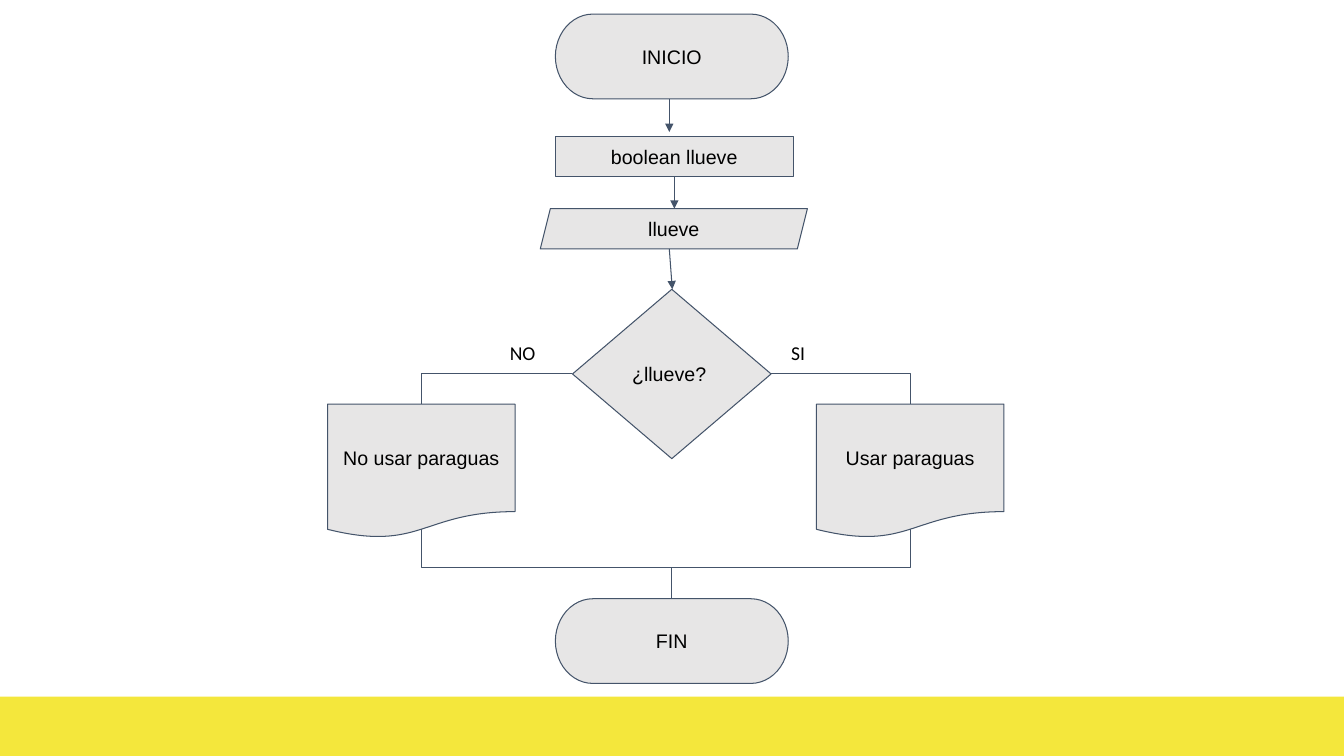
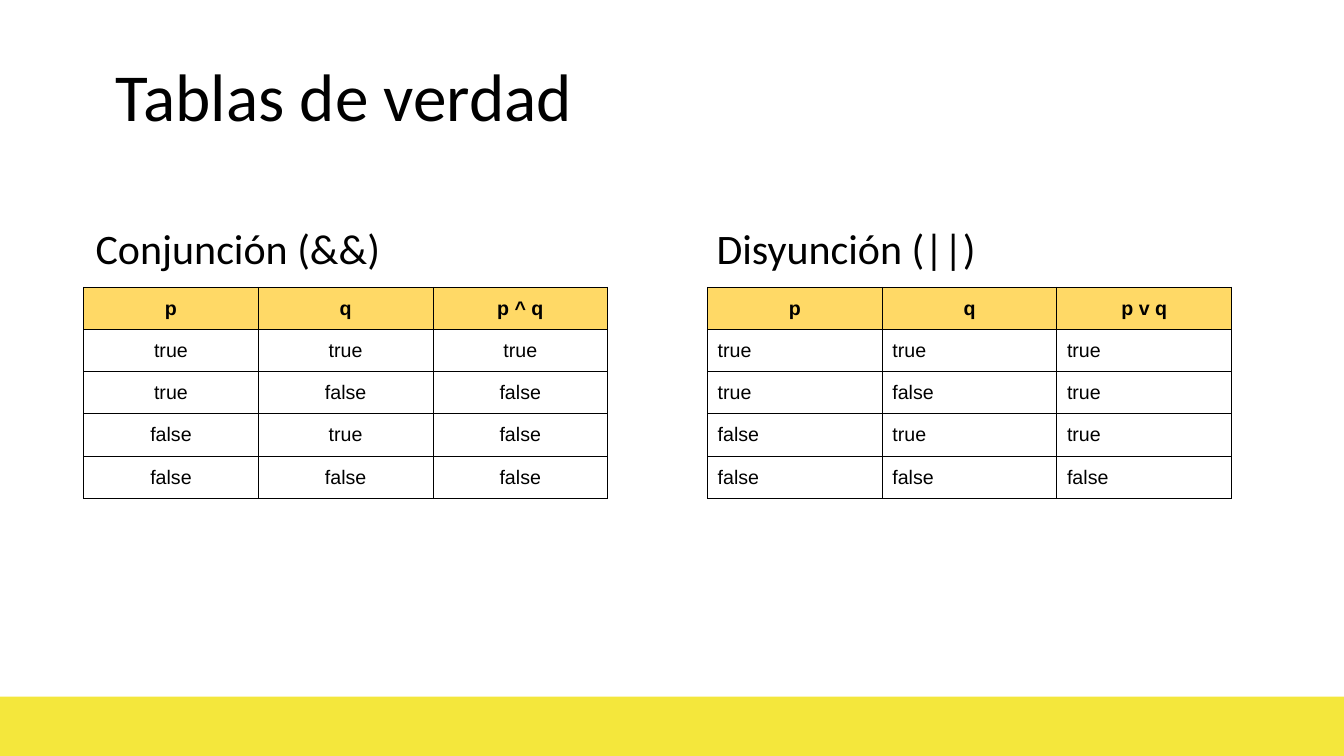
from dataclasses import dataclass
from itertools import product

from lxml.etree import SubElement
from pptx import Presentation
from pptx.dml.color import RGBColor
from pptx.enum.shapes import MSO_CONNECTOR as Link, MSO_SHAPE as Form
from pptx.enum.text import MSO_ANCHOR as Anchor, MSO_AUTO_SIZE as AutoSize, PP_ALIGN as Align
from pptx.oxml.ns import qn
from pptx.util import Emu, Inches, Pt

TOP, LEFT, BOTTOM, RIGHT = range(4)
BLANK, TITLE_ONLY = 6, 5


@dataclass(frozen=True)
class Theme:
    """Colours, fonts, type sizes and the grid of the deck."""
    band: str = "F4E73C"
    node: str = "E7E6E6"
    outline: str = "44546A"
    header: str = "FFD966"
    ink: str = "000000"
    diagram_font: str = "Arial"
    text_font: str = "Calibri"
    title_size: int = 48
    heading_size: int = 30
    body_size: int = 14
    stroke: float = 0.75
    columns: float = 133.33
    rows: float = 75
    cell: float = 0.1


class Deck:
    """Draws styled elements on the current slide, in grid columns and rows."""

    def __init__(self, theme):
        self.theme = theme
        self.prs = Presentation()
        self.prs.slide_width = self.span(theme.columns)
        self.prs.slide_height = self.span(theme.rows)
        self.slide = None

    def span(self, cells):
        """Turn a count of grid cells into a length."""
        return Inches(cells * self.theme.cell)

    def box(self, *cells):
        """Turn grid positions into lengths."""
        return [self.span(count) for count in cells]

    def new_slide(self, layout):
        """Start a slide with the shared band at its foot."""
        self.slide = self.prs.slides.add_slide(self.prs.slide_layouts[layout])
        band_top = 69.1
        band = self.slide.shapes.add_shape(Form.RECTANGLE, *self.box(
            0, band_top, self.theme.columns, self.theme.rows - band_top))
        band.shadow.inherit = False
        self.paint(band, self.theme.band)
        band.line.fill.background()

    def paint(self, target, colour):
        """Fill a shape or table cell with one colour."""
        target.fill.solid()
        target.fill.fore_color.rgb = RGBColor.from_string(colour)

    def stroke(self, line):
        """Apply the diagram's outline."""
        line.color.rgb = RGBColor.from_string(self.theme.outline)
        line.width = Pt(self.theme.stroke)

    def set_text(self, frame, words, font, size, align=Align.LEFT, bold=False):
        """Set one formatted paragraph."""
        frame.text = words
        paragraph = frame.paragraphs[0]
        paragraph.alignment = align
        paragraph.font.name = font
        paragraph.font.size = Pt(size)
        paragraph.font.bold = bold
        paragraph.font.color.rgb = RGBColor.from_string(self.theme.ink)
        return paragraph

    def inset(self, frame, side, end):
        """Set wrapping and margins of a text frame."""
        frame.word_wrap = True
        frame.auto_size = AutoSize.NONE
        frame.margin_left = frame.margin_right = Inches(side)
        frame.margin_top = frame.margin_bottom = Inches(end)

    def node(self, form, words, place, align=Align.CENTER):
        """Add a flowchart symbol."""
        symbol = self.slide.shapes.add_shape(form, *self.box(*place))
        symbol.shadow.inherit = False
        self.paint(symbol, self.theme.node)
        self.stroke(symbol.line)
        self.inset(symbol.text_frame, 0.1, 0.1)
        symbol.text_frame.vertical_anchor = Anchor.MIDDLE
        self.set_text(symbol.text_frame, words, self.theme.diagram_font,
                      self.theme.body_size, align)
        return symbol

    def label(self, words, place):
        """Add a short branch label."""
        frame = self.slide.shapes.add_textbox(*self.box(*place)).text_frame
        self.inset(frame, 0.1, 0.1)
        self.set_text(frame, words, self.theme.text_font, self.theme.body_size)

    def connector(self, kind, *ends):
        """Add a shadowless line in the outline style."""
        link = self.slide.shapes.add_connector(kind, *ends)
        self.stroke(link.line)
        SubElement(link._element.spPr, qn("a:effectLst"))
        return link

    def arrow(self, *ends):
        """Add a straight arrow."""
        link = self.connector(Link.STRAIGHT, *self.box(*ends))
        SubElement(link._element.spPr.find(qn("a:ln")), qn("a:tailEnd"), type="triangle")

    def branch(self, source, side, target):
        """Add a one-bend connector from a side to the top of a symbol."""
        link = self.connector(Link.ELBOW, 0, 0, 0, 0)
        link.begin_connect(source, side)
        link.end_connect(target, TOP)
        link._element.spPr.find(qn("a:prstGeom")).set("prst", "bentConnector2")

    def merge(self, source, target, foot=0.93, bend=55200):
        """Add a down-across-down connector between two symbols."""
        link = self.connector(Link.ELBOW, 0, 0, 0, 0)
        link.begin_connect(source, BOTTOM)
        link.end_connect(target, TOP)
        start_x = source.left + source.width // 2
        start_y = source.top + int(source.height * foot)
        end_x = target.left + target.width // 2
        drop, reach = target.top - start_y, abs(end_x - start_x)
        link.left = Emu((start_x + end_x - drop) // 2)
        link.top = Emu((start_y + target.top - reach) // 2)
        link.width, link.height = Emu(drop), Emu(reach)
        rightward = end_x > start_x
        frame = link._element.spPr.find(qn("a:xfrm"))
        frame.set("rot", str((270 if rightward else 90) * 60000))
        frame.set("flipH", str(int(rightward)))
        frame.set("flipV", "0")
        guides = link._element.spPr.find(qn("a:prstGeom")).find(qn("a:avLst"))
        SubElement(guides, qn("a:gd"), name="adj1", fmla=f"val {bend}")

    def heading(self, holder, words, place, size):
        """Place and format an indented title or heading."""
        holder.left, holder.top, holder.width, holder.height = self.box(*place)
        frame = holder.text_frame
        self.inset(frame, 0.1, 0.05)
        frame.vertical_anchor = Anchor.TOP
        paragraph = self.set_text(frame, words, self.theme.text_font, size, Align.JUSTIFY)
        properties = paragraph._p.get_or_add_pPr()
        properties.set("marL", str(Inches(0.5)))
        properties.set("indent", "0")

    def title(self, words, place):
        """Fill the title placeholder."""
        self.heading(self.slide.shapes.title, words, place, self.theme.title_size)

    def subtitle(self, words, place):
        """Add a heading above a table."""
        holder = self.slide.shapes.add_textbox(*self.box(*place))
        self.heading(holder, words, place, self.theme.heading_size)

    def border(self, cell):
        """Draw a thin line on all four sides of a cell."""
        properties = cell._tc.get_or_add_tcPr()
        for side in ("a:lnL", "a:lnR", "a:lnT", "a:lnB"):
            edge = SubElement(properties, qn(side), w=str(Pt(self.theme.stroke)))
            SubElement(SubElement(edge, qn("a:solidFill")), qn("a:srgbClr"),
                       val=self.theme.ink)

    def table(self, rows, left, top, column, row, align):
        """Add a bordered table with a coloured header row."""
        count, across = len(rows), len(rows[0])
        grid = self.slide.shapes.add_table(count, across, *self.box(
            left, top, column * across, row * count)).table
        grid.first_row = grid.horz_banding = False
        for r, c in product(range(count), range(across)):
            cell, header = grid.cell(r, c), r == 0
            self.border(cell)
            if header:
                self.paint(cell, self.theme.header)
            else:
                cell.fill.background()
            cell.margin_left = cell.margin_right = Inches(0.1)
            cell.margin_top = cell.margin_bottom = Inches(0.1)
            self.set_text(cell.text_frame, rows[r][c], self.theme.diagram_font,
                          self.theme.body_size, Align.CENTER if header else align, header)


def truth_rows(name, operation):
    """List the header and the four cases of a two-operand operation."""
    cases = [(p, q, operation(p, q)) for p, q in product((True, False), repeat=2)]
    return [("p", "q", name)] + [[str(value).lower() for value in case] for case in cases]


def flowchart(deck):
    """Draw the umbrella decision flowchart."""
    deck.new_slide(BLANK)
    deck.node(Form.FLOWCHART_TERMINATOR, "INICIO", (55.1, 1.4, 23.1, 8.4))
    finish = deck.node(Form.FLOWCHART_TERMINATOR, "FIN", (55.1, 59.4, 23.1, 8.4))
    deck.node(Form.RECTANGLE, "boolean llueve", (55.1, 13.5, 23.6, 4))
    deck.node(Form.PARALLELOGRAM, "llueve", (53.6, 20.7, 26.5, 4))
    question = deck.node(Form.DIAMOND, "¿llueve?", (56.8, 28.7, 19.7, 16.8), Align.LEFT)
    for words, left, side, answer, answer_left in (
            ("No usar paraguas", 32.5, LEFT, "NO", 49.6),
            ("Usar paraguas", 81, RIGHT, "SI", 77.5)):
        outcome = deck.node(Form.FLOWCHART_DOCUMENT, words, (left, 40.1, 18.6, 13.3))
        deck.branch(question, side, outcome)
        deck.merge(outcome, finish)
        deck.label(answer, (answer_left, 32.8, 6.3, 3.5))
    for ends in ((66.4, 9.8, 66.4, 13.1), (66.9, 17.5, 66.9, 20.7), (66.4, 24.7, 66.7, 28.7)):
        deck.arrow(*ends)


def truth_tables(deck):
    """Draw the two truth tables side by side."""
    deck.new_slide(TITLE_ONLY)
    deck.title("Tablas de verdad", (5.5, 4.9, 115.3, 10.6))
    for words, words_left, name, operation, left, align in (
            ("Conjunción (&&)", 3.5, "p ^ q", lambda p, q: p and q, 8.3, Align.CENTER),
            ("Disyunción (||)", 65.1, "p v q", lambda p, q: p or q, 70.2, Align.LEFT)):
        deck.subtitle(words, (words_left, 21.6, 46.1, 3.5))
        deck.table(truth_rows(name, operation), left, 28.5, 17.33, 4.17, align)


def main():
    """Build and save the deck."""
    deck = Deck(Theme())
    flowchart(deck)
    truth_tables(deck)
    deck.prs.save("out.pptx")


if __name__ == "__main__":
    main()
